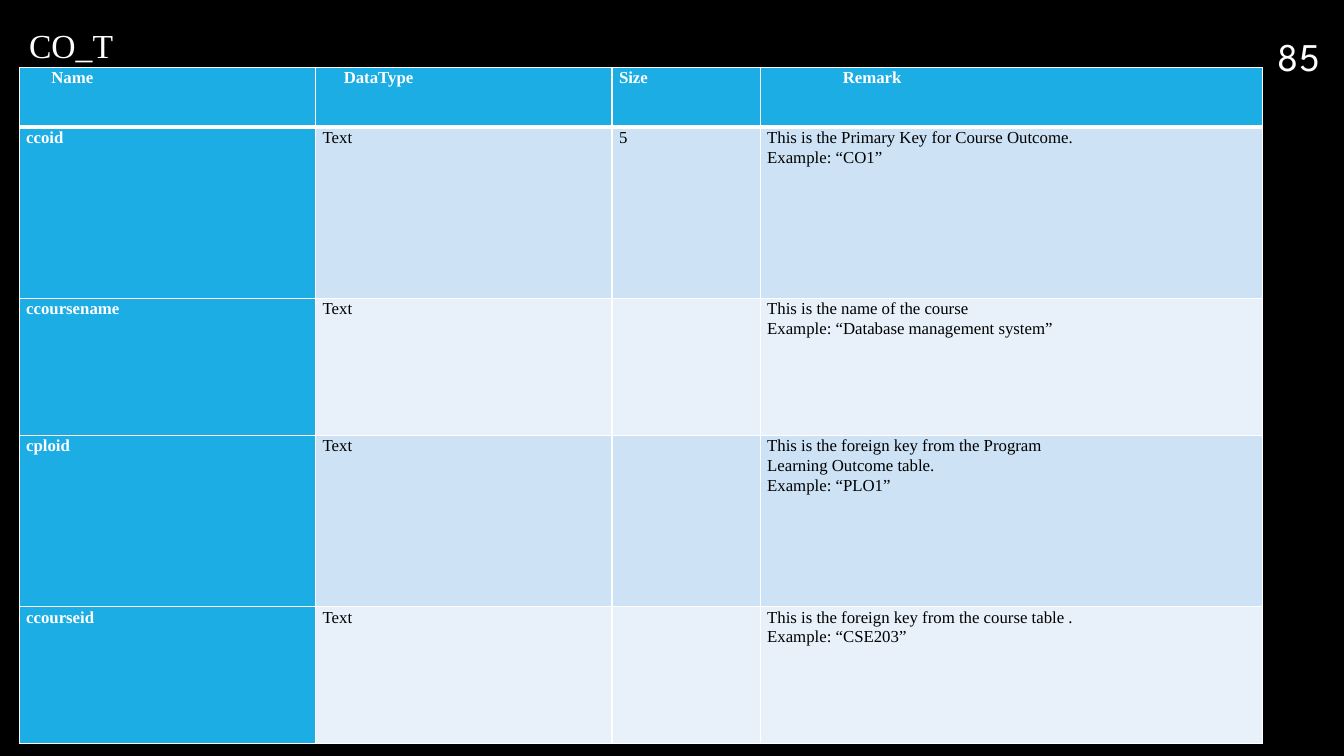
from dataclasses import dataclass

from lxml import etree
from pptx import Presentation
from pptx.dml.color import RGBColor
from pptx.enum.text import MSO_ANCHOR, MSO_AUTO_SIZE, PP_ALIGN
from pptx.oxml.ns import qn
from pptx.util import Inches, Pt

TOP, BOTTOM = MSO_ANCHOR.TOP, MSO_ANCHOR.BOTTOM
LEFT, CENTER = PP_ALIGN.LEFT, PP_ALIGN.CENTER
FIT_SHAPE = MSO_AUTO_SIZE.SHAPE_TO_FIT_TEXT

COLUMN_WIDTHS = [2.94, 2.94, 1.47, 4.98]
ROW_HEIGHTS = [0.59, 1.7, 1.36, 1.7, 1.36]
HEADER_INDENTS = [0.25, 0.21, 0, 0.75]
ROWS = [
    ["Name", "DataType", "Size", "Remark"],
    ["ccoid", "Text", "5",
     "This is the Primary Key for Course Outcome.\nExample: “CO1”"],
    ["ccoursename", "Text", "",
     "This is the name of the course\vExample: “Database management system”"],
    ["cploid", "Text", "",
     "This is the foreign key from the Program\vLearning Outcome table.\vExample: “PLO1”"],
    ["ccourseid", "Text", "",
     "This is the foreign key from the course table .\nExample: “CSE203”"],
]


@dataclass(frozen=True)
class Theme:
    """Colours, fonts and type sizes of the deck."""
    background: str = "000000"
    light: str = "FFFFFF"
    dark: str = "000000"
    accent: str = "1CADE4"
    bands: tuple = ("E8F1FA", "CDE3F5")
    body_font: str = "Times New Roman"
    number_font: str = "League Spartan"
    number_size: int = 28
    title_size: int = 24
    table_size: int = 12
    line_spacing: float = 1.07


class SlideBuilder:
    """Draws styled elements on one slide."""

    def __init__(self, slide, theme):
        self.slide = slide
        self.theme = theme
        fill = slide.background.fill
        fill.solid()
        fill.fore_color.rgb = RGBColor.from_string(theme.background)

    def style(self, paragraph, font, size, color, bold=False):
        """Set the font of a whole paragraph."""
        paragraph.font.name = font
        paragraph.font.size = Pt(size)
        paragraph.font.bold = bold
        paragraph.font.color.rgb = RGBColor.from_string(color)

    def text(self, text, place, font, size, align=LEFT, anchor=TOP, wrap=True):
        """Add a one-paragraph text box and return it."""
        box = self.slide.shapes.add_textbox(*map(Inches, place))
        frame = box.text_frame
        frame.word_wrap = wrap
        frame.vertical_anchor = anchor
        paragraph = frame.paragraphs[0]
        paragraph.text = text
        paragraph.alignment = align
        self.style(paragraph, font, size, self.theme.light)
        return box

    def borders(self, cell, top, bottom):
        """Draw the four edges of a cell, with given top and bottom widths."""
        properties = cell._tc.get_or_add_tcPr()
        for tag, width in (("lnL", 1), ("lnR", 1), ("lnT", top), ("lnB", bottom)):
            line = etree.SubElement(properties, qn(f"a:{tag}"), w=str(Pt(width)))
            fill = etree.SubElement(line, qn("a:solidFill"))
            etree.SubElement(fill, qn("a:srgbClr"), val=self.theme.light)

    def cell(self, cell, text, row, column):
        """Fill one table cell with its text, colour and edges."""
        theme = self.theme
        heading = row == 0 or column == 0
        self.borders(cell, 3 if row == 1 else 1, 3 if row == 0 else 1)
        cell.fill.solid()
        color = theme.accent if heading else theme.bands[row % 2]
        cell.fill.fore_color.rgb = RGBColor.from_string(color)
        cell.margin_left = cell.margin_right = Inches(0.07)
        cell.margin_top = cell.margin_bottom = 0
        cell.text_frame.text = text
        for paragraph in cell.text_frame.paragraphs:
            if row == 0:
                indent = Inches(HEADER_INDENTS[column])
                paragraph._p.get_or_add_pPr().set("marL", str(indent))
            paragraph.line_spacing = theme.line_spacing
            self.style(paragraph, theme.body_font, theme.table_size,
                       theme.light if heading else theme.dark, heading)

    def table(self, rows, left, top):
        """Add the table of fields."""
        frame = self.slide.shapes.add_table(
            len(rows), len(COLUMN_WIDTHS), Inches(left), Inches(top),
            Inches(sum(COLUMN_WIDTHS)), Inches(sum(ROW_HEIGHTS)))
        table = frame.table
        for column, width in zip(table.columns, COLUMN_WIDTHS):
            column.width = Inches(width)
        for row, height in zip(table.rows, ROW_HEIGHTS):
            row.height = Inches(height)
        for row, texts in enumerate(rows):
            for column, text in enumerate(texts):
                self.cell(table.cell(row, column), text, row, column)


def main():
    """Build the deck and save it."""
    deck = Presentation()
    deck.slide_width, deck.slide_height = Inches(13.33), Inches(7.5)
    theme = Theme()
    page = SlideBuilder(deck.slides.add_slide(deck.slide_layouts[6]), theme)
    page.text("85", (12.42, 0, 0.92, 0.84), theme.number_font,
              theme.number_size, CENTER, BOTTOM)
    title = page.text("CO_T", (0.19, 0.17, 1.04, 0.5), theme.body_font,
                      theme.title_size, wrap=False)
    title.text_frame.auto_size = FIT_SHAPE
    title.text_frame.paragraphs[0].line_spacing = theme.line_spacing
    title.text_frame.paragraphs[0].space_after = Pt(8)
    page.table(ROWS, 0.19, 0.67)
    deck.save("out.pptx")


if __name__ == "__main__":
    main()
